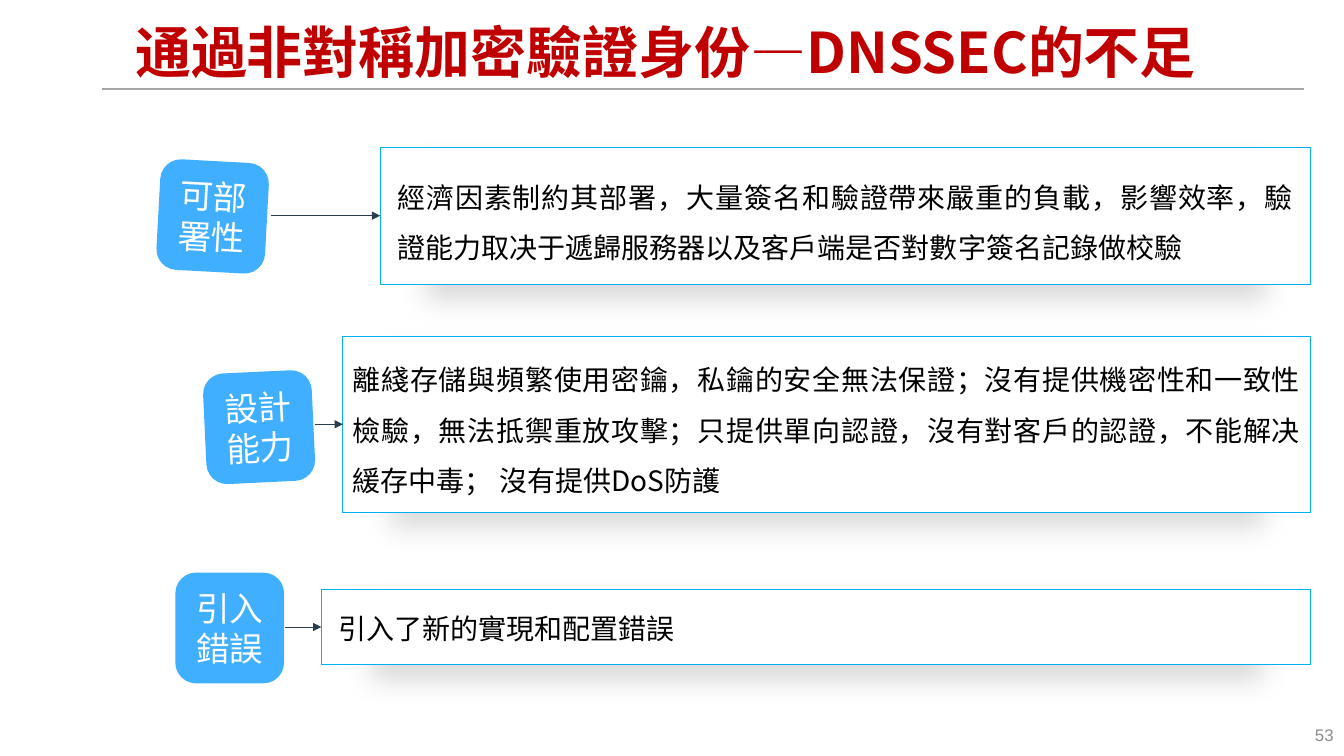
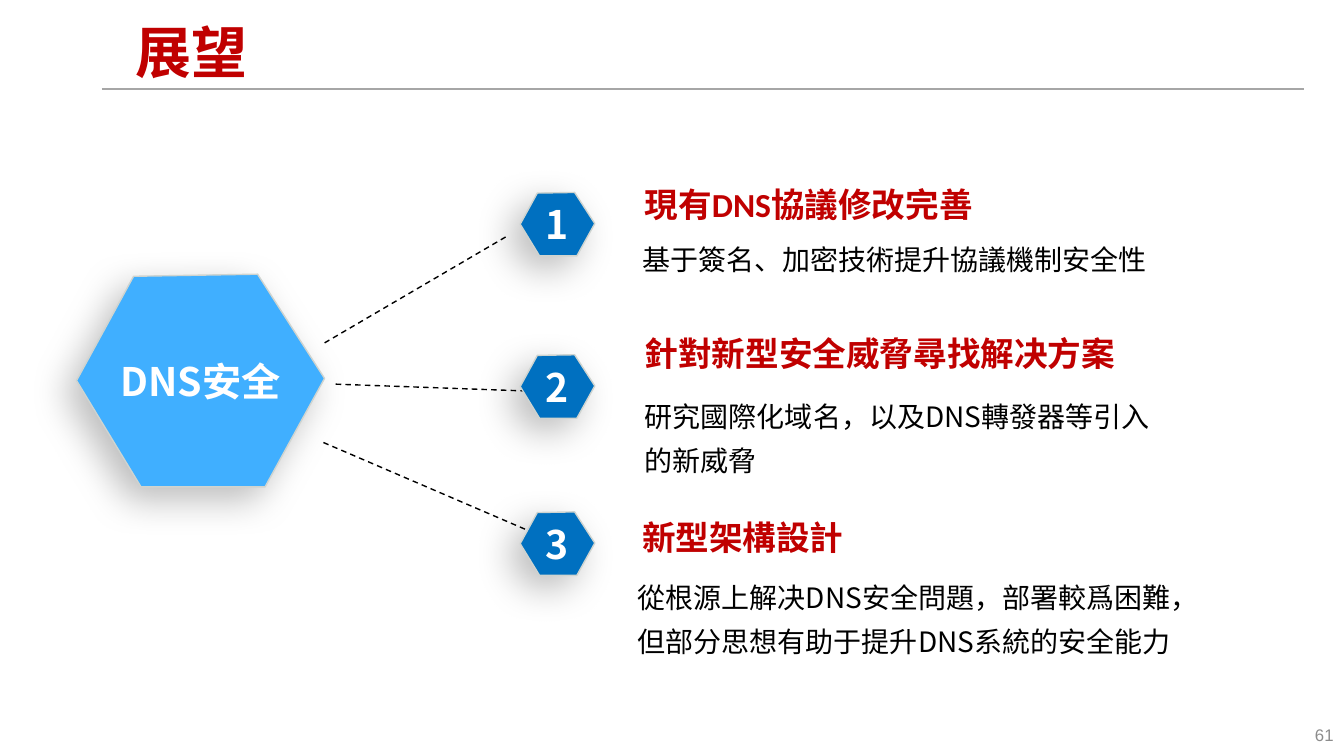
from dataclasses import dataclass

from lxml.etree import SubElement
from pptx import Presentation
from pptx.dml.color import RGBColor
from pptx.enum.dml import MSO_LINE
from pptx.enum.shapes import MSO_CONNECTOR, MSO_SHAPE
from pptx.enum.text import MSO_ANCHOR, MSO_AUTO_SIZE, PP_ALIGN
from pptx.oxml.ns import qn
from pptx.shapes.autoshape import Shape
from pptx.shapes.connector import Connector
from pptx.slide import Slide, SlideLayout
from pptx.text.text import TextFrame
from pptx.util import Cm, Pt

CJK_FONT = "Noto Sans CJK SC"
RED = "C00000"
SKY = "40AFFF"
BLUE = "0070C0"
CYAN = "00B0F0"
NAVY = "2A3E52"
PALE = "CFD4D0"
GREY = "A6A6A6"
DIM = "8C8C8C"
BLACK = "000000"
WHITE = "FFFFFF"
HEXAGON = [(73, 0), (100, 49), (76, 100), (26, 100), (0, 50), (23, 1)]


@dataclass(frozen=True)
class Area:
    """A rectangle on the page, in centimetres."""

    left: float
    top: float
    width: float
    height: float

    def lengths(self) -> tuple[Cm, Cm, Cm, Cm]:
        """Return the four measures as lengths."""
        return Cm(self.left), Cm(self.top), Cm(self.width), Cm(self.height)


@dataclass(frozen=True)
class Shadow:
    """An outer shadow, in points, degrees and percent."""

    opacity: int
    blur: int
    distance: int
    angle: int
    width: int = 100
    anchor: str = "ctr"


@dataclass(frozen=True)
class Weakness:
    """A tilted label with an arrow to a framed explanation."""

    label: str
    tile: Area
    tilt: float
    arrow_start: float
    panel: Area
    text: str
    text_area: Area


@dataclass(frozen=True)
class Direction:
    """A numbered topic with its dashed link, heading and detail."""

    badge_top: float
    link: tuple[float, float, float, float]
    heading: str
    heading_area: Area
    detail: tuple[str, ...]
    detail_area: Area
    spacing: float


PANEL_SHADOW = Shadow(15, 20, 10, 90, width=90, anchor="t")
HEXAGON_SHADOW = Shadow(26, 27, 12, 135)

WEAKNESSES = [
    Weakness("可部署性", Area(3.99, 4.06, 2.74, 2.79), 3.1, 6.83,
             Area(9.58, 3.71, 23.44, 3.45),
             "經濟因素制約其部署，大量簽名和驗證帶來嚴重的負載，影響效率，驗證能力取决于遞歸服務器以及客戶端是否對數字簽名記錄做校驗",
             Area(9.4, 3.99, 23.44, 2.67)),
    Weakness("設計能力", Area(5.16, 9.37, 2.74, 2.79), -2.7, 7.95,
             Area(8.64, 8.48, 24.38, 4.42),
             "離綫存儲與頻繁使用密鑰，私鑰的安全無法保證；沒有提供機密性和一致性檢驗，無法抵禦重放攻擊；只提供單向認證，沒有對客戶的認證，不能解决緩存中毒； 沒有提供DoS防護",
             Area(8.28, 8.59, 24.74, 3.96)),
    Weakness("引入錯誤", Area(4.42, 14.43, 2.74, 2.79), 0, 7.19,
             Area(8.1, 14.86, 24.92, 1.88),
             "引入了新的實現和配置錯誤",
             Area(7.92, 14.86, 15.24, 1.4)),
]

DIRECTIONS = [
    Direction(4.85, (8.18, 8.64, 12.83, 5.92),
              "現有DNS協議修改完善", Area(16, 4.5, 12.04, 1.27),
              ("基于簽名、加密技術提升協議機制安全性",),
              Area(15.93, 5.97, 17.02, 1.12), 1),
    Direction(8.94, (8.46, 9.68, 13.49, 9.86),
              "針對新型安全威脅尋找解决方案", Area(16, 8.26, 15.37, 1.27),
              ("研究國際化域名，以及DNS轉發器等引入", "的新威脅"),
              Area(16, 9.73, 16.56, 2.36), 1.3),
    Direction(12.9, (8.15, 11.15, 13.36, 13.39),
              "新型架構設計", Area(15.93, 12.9, 17.35, 1.27),
              ("從根源上解决DNS安全問題，部署較爲困難，", "但部分思想有助于提升DNS系統的安全能力"),
              Area(15.82, 14.3, 17.78, 2.36), 1.3),
]


def color(code: str) -> RGBColor:
    """Turn a hex string into a colour."""
    return RGBColor.from_string(code)


def write(frame: TextFrame, *lines: str, size: float = 20, ink: str = BLACK,
          font: str = CJK_FONT, bold: bool = False,
          align: PP_ALIGN = PP_ALIGN.LEFT,
          anchor: MSO_ANCHOR = MSO_ANCHOR.MIDDLE,
          spacing: float = 1, indent: float = 0, grow: bool = False) -> None:
    """Fill a frame with formatted paragraphs."""
    frame.word_wrap = True
    frame.vertical_anchor = anchor
    if grow:
        frame.auto_size = MSO_AUTO_SIZE.SHAPE_TO_FIT_TEXT
    for index, line in enumerate(lines):
        para = frame.add_paragraph() if index else frame.paragraphs[0]
        para.alignment = align
        para.line_spacing = spacing
        if indent:
            para._p.get_or_add_pPr().set("marL", str(Cm(indent)))
        span = para.add_run()
        span.text = line
        span.font.size = Pt(size)
        span.font.bold = bold
        span.font.color.rgb = color(ink)
        span.font.name = font
        east_asian = SubElement(span._r.get_or_add_rPr(), qn("a:ea"))
        east_asian.set("typeface", CJK_FONT)


def add_text(page: Slide, area: Area, *lines: str, **style) -> None:
    """Add a text box with formatted paragraphs."""
    write(page.shapes.add_textbox(*area.lengths()).text_frame, *lines, **style)


def paint(shape: Shape, fill: str, outline: str = "", weight: float = 1,
          shadow: Shadow | None = None) -> None:
    """Set the fill, outline and shadow of a shape."""
    shape.fill.solid()
    shape.fill.fore_color.rgb = color(fill)
    if outline:
        shape.line.color.rgb = color(outline)
        shape.line.width = Pt(weight)
    else:
        shape.line.fill.background()
    shape.shadow.inherit = False
    if shadow:
        effects = shape._element.spPr.find(qn("a:effectLst"))
        outer = SubElement(effects, qn("a:outerShdw"), {
            "blurRad": str(Pt(shadow.blur)),
            "dist": str(Pt(shadow.distance)),
            "dir": str(shadow.angle * 60000),
            "sx": str(shadow.width * 1000),
            "algn": shadow.anchor,
            "rotWithShape": "0",
        })
        tint = SubElement(outer, qn("a:srgbClr"), {"val": BLACK})
        SubElement(tint, qn("a:alpha"), {"val": str(shadow.opacity * 1000)})


def add_line(page: Slide, ends: tuple[float, float, float, float], ink: str,
             weight: float = 1, dashed: bool = False,
             arrow: bool = False) -> Connector:
    """Draw a straight line between two points."""
    line = page.shapes.add_connector(
        MSO_CONNECTOR.STRAIGHT, *(Cm(value) for value in ends))
    line.line.color.rgb = color(ink)
    line.line.width = Pt(weight)
    if dashed:
        line.line.dash_style = MSO_LINE.DASH
    if arrow:
        SubElement(line.line._get_or_add_ln(), qn("a:tailEnd"), {"type": "triangle"})
    SubElement(line.element.spPr, qn("a:effectLst"))
    return line


def add_hexagon(page: Slide, area: Area, fill: str, label: str) -> None:
    """Draw a labelled hexagon."""
    scale = (Cm(area.width) / 100, Cm(area.height) / 100)
    builder = page.shapes.build_freeform(*HEXAGON[0], scale=scale)
    builder.add_line_segments(HEXAGON[1:], close=True)
    shape = builder.convert_to_shape(Cm(area.left), Cm(area.top))
    paint(shape, fill, PALE, shadow=HEXAGON_SHADOW)
    write(shape.text_frame, label, size=28, ink=WHITE, bold=True,
          align=PP_ALIGN.CENTER)


def prepare_layout(layout: SlideLayout, page: Slide) -> None:
    """Place the shared title area and the rule below it."""
    title = layout.placeholders[0]
    area = Area(3.15, 0.38, 28.4, 2.01)
    title.left, title.top, title.width, title.height = area.lengths()
    rule = add_line(page, (2.57, 2.24, 32.87, 2.24), GREY)
    rule.element.nvCxnSpPr.cNvPr.set("id", "20")
    layout.shapes.element.append(rule.element)


def add_heading(page: Slide, title: str, number: int) -> None:
    """Write the title and the page number."""
    write(page.shapes.title.text_frame, title, size=40, ink=RED, bold=True,
          spacing=0.9)
    add_text(page, Area(26.24, 18.01, 7.62, 1.02), str(number), size=12,
             ink=DIM, font="Arial", align=PP_ALIGN.RIGHT)


def add_weakness(page: Slide, item: Weakness) -> None:
    """Draw one label, its arrow and its explanation."""
    panel = page.shapes.add_shape(MSO_SHAPE.RECTANGLE, *item.panel.lengths())
    paint(panel, WHITE, CYAN, 0.5, PANEL_SHADOW)
    add_text(page, item.text_area, item.text, align=PP_ALIGN.JUSTIFY,
             anchor=MSO_ANCHOR.TOP, spacing=1.5, indent=0.36, grow=True)
    tile = page.shapes.add_shape(
        MSO_SHAPE.ROUNDED_RECTANGLE, *item.tile.lengths())
    tile.adjustments[0] = 0.19
    tile.rotation = item.tilt
    paint(tile, SKY)
    write(tile.text_frame, item.label, size=24, ink=WHITE,
          align=PP_ALIGN.CENTER)
    middle = item.panel.top + item.panel.height / 2
    arrow = add_line(page, (item.arrow_start, middle, item.panel.left, middle),
                     NAVY, 0.5, arrow=True)
    arrow.end_connect(panel, 1)


def add_direction(page: Slide, number: int, item: Direction) -> None:
    """Draw one numbered topic with its link to the hub."""
    add_line(page, item.link, BLACK, dashed=True)
    add_hexagon(page, Area(13.11, item.badge_top, 1.88, 1.6), BLUE, str(number))
    add_text(page, item.heading_area, item.heading, size=24, ink=RED,
             font="Calibri", bold=True, grow=True)
    add_text(page, item.detail_area, *item.detail, spacing=item.spacing,
             grow=True)


def main() -> None:
    """Build and save the deck."""
    deck = Presentation()
    deck.slide_width, deck.slide_height = Cm(33.87), Cm(19.05)
    layout = deck.slide_layouts[5]

    weakness_page = deck.slides.add_slide(layout)
    prepare_layout(layout, weakness_page)
    add_heading(weakness_page, "通過非對稱加密驗證身份—DNSSEC的不足", 53)
    for item in WEAKNESSES:
        add_weakness(weakness_page, item)

    outlook_page = deck.slides.add_slide(layout)
    add_heading(outlook_page, "展望", 61)
    add_hexagon(outlook_page, Area(1.93, 6.91, 6.25, 5.36), SKY, "DNS安全")
    for number, item in enumerate(DIRECTIONS, start=1):
        add_direction(outlook_page, number, item)

    deck.save("out.pptx")


if __name__ == "__main__":
    main()
